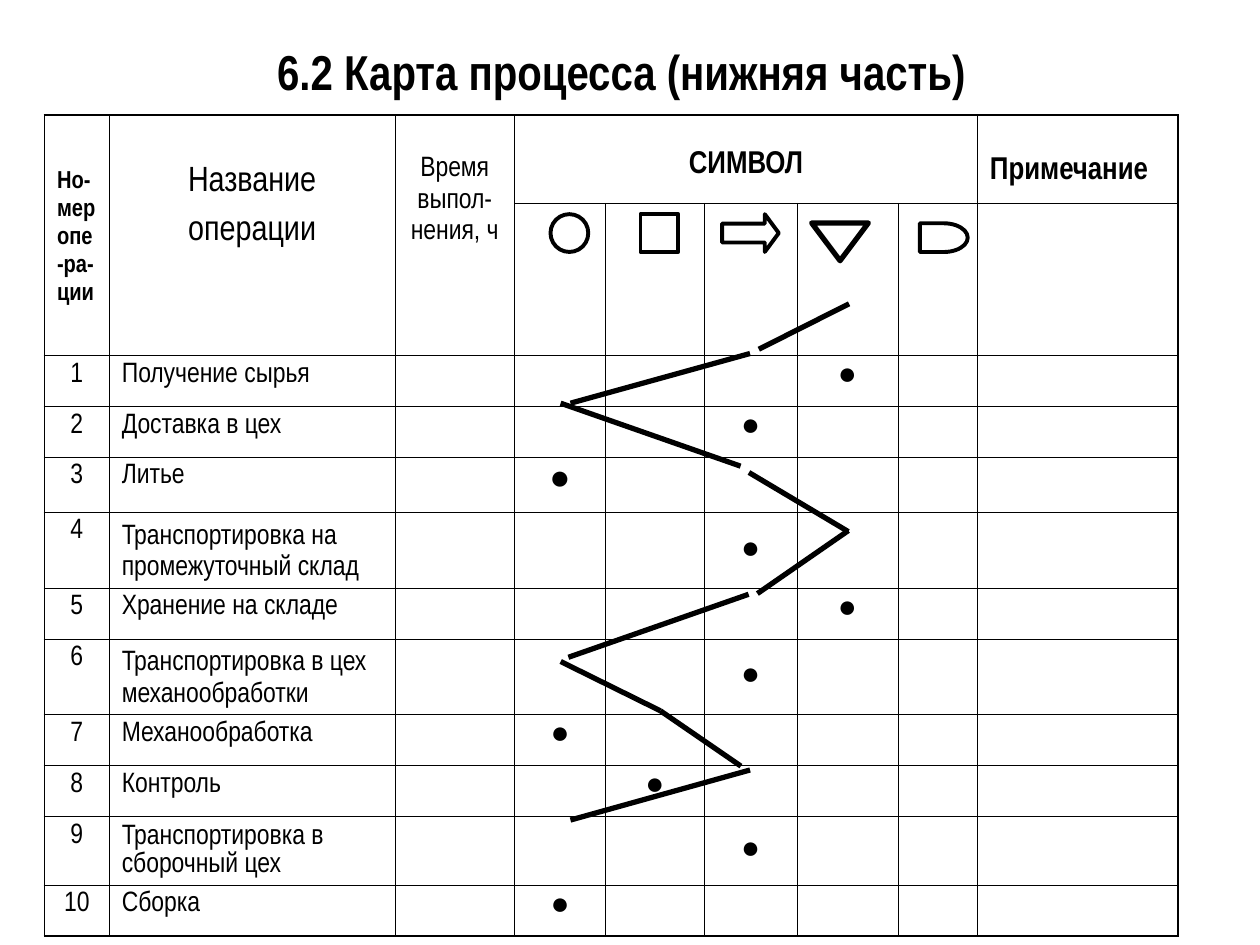
from pptx import Presentation
from pptx.dml.color import RGBColor
from pptx.enum.shapes import MSO_CONNECTOR, MSO_SHAPE
from pptx.enum.text import MSO_ANCHOR, PP_ALIGN
from pptx.oxml.ns import qn
from pptx.util import Pt
from lxml import etree

BLACK = RGBColor(0, 0, 0)
WHITE = RGBColor(255, 255, 255)
FONT = "Arial Narrow"
LEFT, CENTER = PP_ALIGN.LEFT, PP_ALIGN.CENTER
TOP, MIDDLE = MSO_ANCHOR.TOP, MSO_ANCHOR.MIDDLE
OUTER, INNER = 1.08, 0.45
CIRCLE_COLUMN, SQUARE_COLUMN, ARROW_COLUMN, TRIANGLE_COLUMN = 3, 4, 5, 6


def write(text_frame, text, size, bold=False, align=LEFT, line=None, gap=0):
    text_frame.text = text
    for index, paragraph in enumerate(text_frame.paragraphs):
        paragraph.alignment = align
        if line:
            paragraph.line_spacing = Pt(line)
        if index and gap:
            paragraph.space_before = Pt(gap)
        for run in paragraph.runs:
            run.font.name = FONT
            run.font.size = Pt(size)
            run.font.bold = bold
            run.font.color.rgb = BLACK


def add_border(cell, side, width):
    properties = cell._tc.get_or_add_tcPr()
    border = etree.SubElement(properties, qn(f"a:ln{side}"), w=str(Pt(width)))
    fill = etree.SubElement(border, qn("a:solidFill"))
    etree.SubElement(fill, qn("a:srgbClr"), val=str(BLACK))


presentation = Presentation()
presentation.slide_width = Pt(720)
presentation.slide_height = Pt(540)
slide = presentation.slides.add_slide(presentation.slide_layouts[6])

# Title
title = slide.shapes.add_textbox(Pt(31), Pt(20.2), Pt(648), Pt(41))
title.text_frame.word_wrap = True
title.text_frame.vertical_anchor = MIDDLE
write(title.text_frame, "6.2 Карта процесса (нижняя часть)", 28, True, CENTER)

# Process table: name, line spacing, column of the dot
operations = [
    ("Получение сырья", None, TRIANGLE_COLUMN),
    ("Доставка в цех", None, ARROW_COLUMN),
    ("Литье", None, CIRCLE_COLUMN),
    ("Транспортировка на промежуточный склад", 18, ARROW_COLUMN),
    ("Хранение на складе", None, TRIANGLE_COLUMN),
    ("Транспортировка в цех механообработки", 18, ARROW_COLUMN),
    ("Механообработка", None, CIRCLE_COLUMN),
    ("Контроль", None, SQUARE_COLUMN),
    ("Транспортировка в сборочный цех", 16, ARROW_COLUMN),
    ("Сборка", None, CIRCLE_COLUMN),
]
column_widths = [37, 163.4, 68.2, 52.2, 56.2, 53.2, 57.6, 45.4, 114.6]
row_heights = [50.4, 87.2, 29, 29, 31.4, 43.4, 29, 43.4, 29, 29, 39.4, 29]
row_count, column_count = len(row_heights), len(column_widths)

frame = slide.shapes.add_table(row_count, column_count, Pt(25.4), Pt(65.7),
                               Pt(sum(column_widths)), Pt(sum(row_heights)))
table = frame.table
table.first_row = False
table.horz_banding = False
for column, width in zip(table.columns, column_widths):
    column.width = Pt(width)
for row, height in zip(table.rows, row_heights):
    row.height = Pt(height)

# Header: column, text, size, bold, alignment, line spacing, gap, top margin
headers = [
    (0, "Но-мер опе-ра-ции", 14, True, LEFT, 16, 0, None),
    (1, "Название\nоперации", 20, False, CENTER, 23, 5, 25),
    (2, "Время\nвыпол-нения, ч", 16, False, CENTER, 18, 0, 20.6),
    (3, "СИМВОЛ", 18, True, CENTER, None, 0, 20.6),
    (8, "Примечание", 18, True, LEFT, None, 0, 24),
]
for column, text, size, bold, align, line, gap, top in headers:
    cell = table.cell(0, column)
    write(cell.text_frame, text, size, bold, align, line, gap)
    if top:
        cell.margin_top = Pt(top)
table.cell(0, 0).vertical_anchor = MIDDLE

# Operations
for number, (name, line, dot_column) in enumerate(operations, 1):
    row = number + 1
    write(table.cell(row, 0).text_frame, str(number), 16, align=CENTER)
    write(table.cell(row, 1).text_frame, name, 16, line=line)
    dot = table.cell(row, dot_column)
    write(dot.text_frame, "●", 20 if number == 3 else 18, align=CENTER)
    dot.vertical_anchor = MIDDLE if line else TOP

# Borders and fills
for row in range(row_count):
    for column in range(column_count):
        cell = table.cell(row, column)
        if not cell.text_frame.text:
            cell.margin_top = cell.margin_bottom = 0
        add_border(cell, "L", OUTER if column == 0 else INNER)
        add_border(cell, "R", OUTER if column == column_count - 1 else INNER)
        add_border(cell, "T", OUTER if row == 0 else INNER)
        add_border(cell, "B", OUTER if row == row_count - 1 else INNER)
        cell.fill.solid()
        cell.fill.fore_color.rgb = WHITE
for column in range(3):
    table.cell(0, column).merge(table.cell(1, column))
table.cell(0, 3).merge(table.cell(0, 7))

# Operation symbols
group = slide.shapes.add_group_shape()
symbols = [
    (MSO_SHAPE.OVAL, 314.6, 122.4, 21.6, 21.6, 2.25),
    (MSO_SHAPE.RECTANGLE, 366, 122.4, 21.6, 21.6, 2.25),
    (MSO_SHAPE.RIGHT_ARROW, 412.6, 122.4, 32.4, 21.6, 2.25),
    (MSO_SHAPE.ISOSCELES_TRIANGLE, 463.8, 127.4, 32.4, 21.6, 3),
    (MSO_SHAPE.FLOWCHART_DELAY, 525.6, 127.6, 27.4, 16.4, 2.25),
]
for kind, left, top, width, height, line_width in symbols:
    shape = group.shapes.add_shape(kind, Pt(left), Pt(top), Pt(width), Pt(height))
    shape.shadow.inherit = False
    shape.fill.background()
    shape.line.color.rgb = BLACK
    shape.line.width = Pt(line_width)
    if kind == MSO_SHAPE.RIGHT_ARROW:
        shape.adjustments[1] = 0.37
    if kind == MSO_SHAPE.ISOSCELES_TRIANGLE:
        shape.rotation = 180

# Flow between the symbols
flow = [
    (485.2, 173.6, 433.6, 199.6), (428.6, 202, 326, 230.4),
    (320.4, 230.4, 423.2, 266.4), (428, 270, 484.8, 303.8),
    (484.8, 303.2, 432.8, 339.2), (427.8, 339.6, 324.8, 375.6),
    (320.4, 378, 377.4, 406.2), (377.4, 406.2, 423.4, 437.8),
    (428.6, 440, 326, 468.6),
]
for points in flow:
    connector = group.shapes.add_connector(MSO_CONNECTOR.STRAIGHT, *map(Pt, points))
    connector.line.color.rgb = BLACK
    connector.line.width = Pt(3)
    etree.SubElement(connector._element.spPr, qn("a:effectLst"))

presentation.save("out.pptx")
